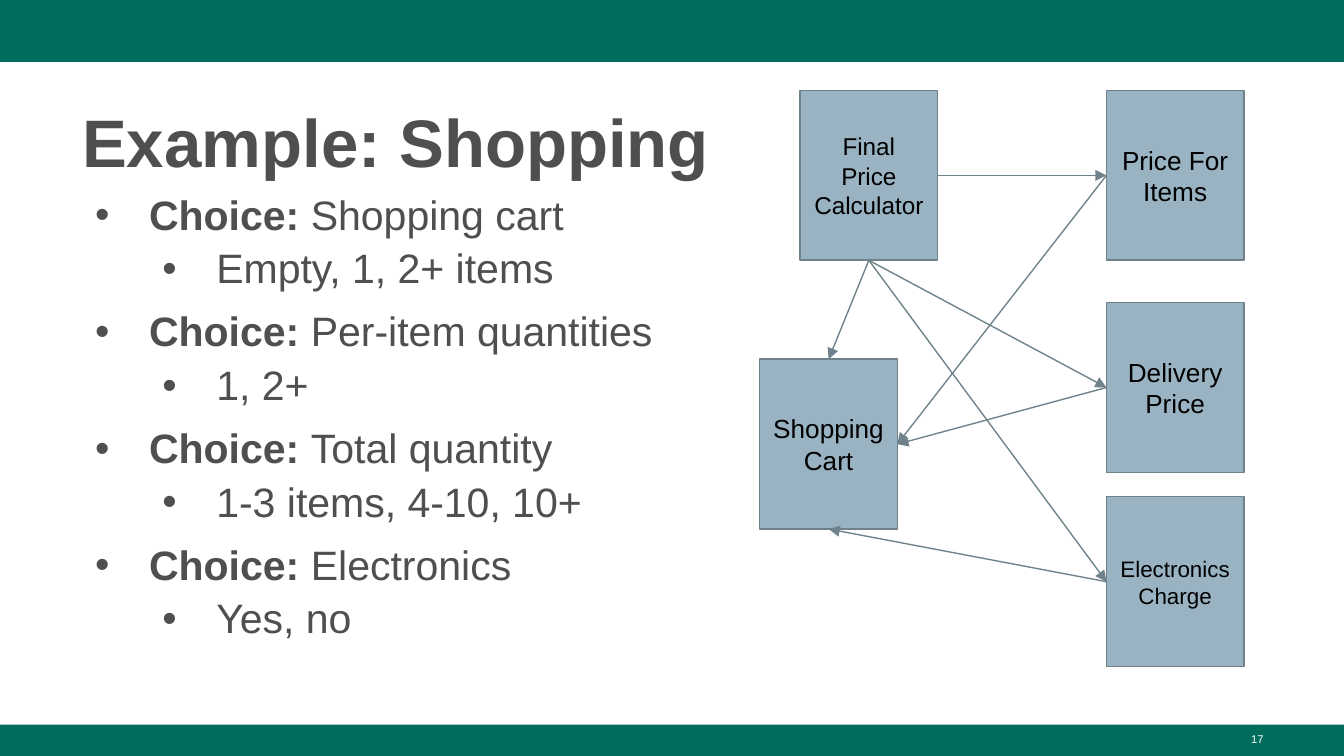
from lxml.etree import SubElement
from pptx import Presentation
from pptx.dml.color import RGBColor
from pptx.enum.shapes import MSO_CONNECTOR, MSO_SHAPE
from pptx.enum.text import MSO_ANCHOR, PP_ALIGN
from pptx.oxml.ns import qn
from pptx.util import Cm, Pt

COLORS = {"band": "006C5C", "text": "4F4F4F", "box": "99B3C2",
          "line": "6F828C", "label": "000000", "number": "FFFFFF"}
FONT = "Arial"
WIDTH, HEIGHT = 25.4, 14.29
BANDS = [(0, 1.17), (13.7, 0.59)]
TITLE = "Example: Shopping"
PAGE_NUMBER = "17"
CHOICES = [
    ("Shopping cart", "Empty, 1, 2+ items"),
    ("Per-item quantities", "1, 2+"),
    ("Total quantity", "1-3 items, 4-10, 10+"),
    ("Electronics", "Yes, no"),
]
BOX_WIDTH, BOX_HEIGHT = 2.6, 3.21
RIGHT_COLUMN = 20.91
CLASSES = {
    "Delivery Price": (RIGHT_COLUMN, 5.72, 14),
    "Electronics Charge": (RIGHT_COLUMN, 9.39, 12),
    "Final Price Calculator": (15.12, 1.71, 13),
    "Shopping Cart": (14.36, 6.79, 14),
    "Price For Items": (RIGHT_COLUMN, 1.71, 14),
}
TOP, LEFT, BOTTOM, RIGHT = range(4)
CALLS = [
    ("Final Price Calculator", BOTTOM, "Delivery Price", LEFT),
    ("Final Price Calculator", BOTTOM, "Electronics Charge", LEFT),
    ("Delivery Price", LEFT, "Shopping Cart", RIGHT),
    ("Final Price Calculator", BOTTOM, "Shopping Cart", TOP),
    ("Electronics Charge", LEFT, "Shopping Cart", BOTTOM),
    ("Price For Items", LEFT, "Shopping Cart", RIGHT),
    ("Final Price Calculator", RIGHT, "Price For Items", LEFT),
]


def color(name):
    return RGBColor.from_string(COLORS[name])


def set_font(paragraph, size, name, bold=False):
    font = paragraph.font
    font.name, font.size, font.bold = FONT, Pt(size), bold
    font.color.rgb = color(name)


def add_box(slide, left, top, width, height, fill, line=None):
    box = slide.shapes.add_shape(MSO_SHAPE.RECTANGLE, Cm(left), Cm(top), Cm(width), Cm(height))
    box.shadow.inherit = False
    box.fill.solid()
    box.fill.fore_color.rgb = color(fill)
    if line:
        box.line.color.rgb = color(line)
        box.line.width = Pt(0.75)
    else:
        box.line.fill.background()
    return box


def add_text_box(slide, left, top, width, height):
    box = slide.shapes.add_textbox(Cm(left), Cm(top), Cm(width), Cm(height))
    box.text_frame.word_wrap = True
    return box.text_frame


def add_bullet(paragraph, level):
    paragraph.level = level
    paragraph.line_spacing = 0.9
    properties = paragraph._p.get_or_add_pPr()
    properties.set("marL", str(Cm(1.27 * (level + 1))))
    properties.set("indent", str(-Cm(1.02)))
    bullet_color = SubElement(properties, qn("a:buClr"))
    SubElement(bullet_color, qn("a:srgbClr"), val=COLORS["text"])
    SubElement(properties, qn("a:buFont"), typeface=FONT)
    SubElement(properties, qn("a:buChar"), char="•")
    set_font(paragraph, 22, "text")


def add_title(slide):
    title = slide.shapes.title
    title.left, title.top, title.width, title.height = Cm(1.3), Cm(1.7), Cm(22.83), Cm(1.85)
    frame = title.text_frame
    frame.text = TITLE
    frame.word_wrap = True
    frame.vertical_anchor = MSO_ANCHOR.BOTTOM
    paragraph = frame.paragraphs[0]
    paragraph.alignment = PP_ALIGN.LEFT
    paragraph.line_spacing = 1.08
    set_font(paragraph, 36, "text", True)


def add_choices(slide):
    frame = add_text_box(slide, 1.3, 3.56, 12.24, 9.68)
    for index, (choice, values) in enumerate(CHOICES):
        heading = frame.add_paragraph() if index else frame.paragraphs[0]
        add_bullet(heading, 0)
        heading.space_before = Pt(10 if index else 0)
        label = heading.add_run()
        label.text = "Choice: "
        label.font.bold = True
        heading.add_run().text = choice
        options = frame.add_paragraph()
        add_bullet(options, 1)
        options.space_before = Pt(5)
        options.add_run().text = values


def add_class(slide, label, left, top, size):
    box = add_box(slide, left, top, BOX_WIDTH, BOX_HEIGHT, "box", "line")
    frame = box.text_frame
    frame.text = label
    frame.word_wrap = True
    frame.vertical_anchor = MSO_ANCHOR.MIDDLE
    frame.margin_left = frame.margin_right = Cm(0.25)
    frame.margin_top = frame.margin_bottom = Cm(0.25)
    frame.paragraphs[0].alignment = PP_ALIGN.CENTER
    set_font(frame.paragraphs[0], size, "label")
    return box


def add_call(slide, caller, start, callee, end):
    arrow = slide.shapes.add_connector(MSO_CONNECTOR.STRAIGHT, 0, 0, 0, 0)
    arrow.begin_connect(caller, start)
    arrow.end_connect(callee, end)
    arrow.line.color.rgb = color("line")
    arrow.line.width = Pt(0.75)
    SubElement(arrow.line._get_or_add_ln(), qn("a:tailEnd"), type="triangle")
    SubElement(arrow._element.spPr, qn("a:effectLst"))


def main():
    presentation = Presentation()
    presentation.slide_width, presentation.slide_height = Cm(WIDTH), Cm(HEIGHT)
    slide = presentation.slides.add_slide(presentation.slide_layouts[5])
    for top, height in BANDS:
        add_box(slide, 0, top, WIDTH, height, "band")
    number = add_text_box(slide, 18.21, 13.72, 5.92, 0.58).paragraphs[0]
    number.text = PAGE_NUMBER
    number.alignment = PP_ALIGN.RIGHT
    set_font(number, 6, "number")
    add_title(slide)
    add_choices(slide)
    boxes = {label: add_class(slide, label, *place) for label, place in CLASSES.items()}
    for caller, start, callee, end in CALLS:
        add_call(slide, boxes[caller], start, boxes[callee], end)
    presentation.save("out.pptx")


if __name__ == "__main__":
    main()
